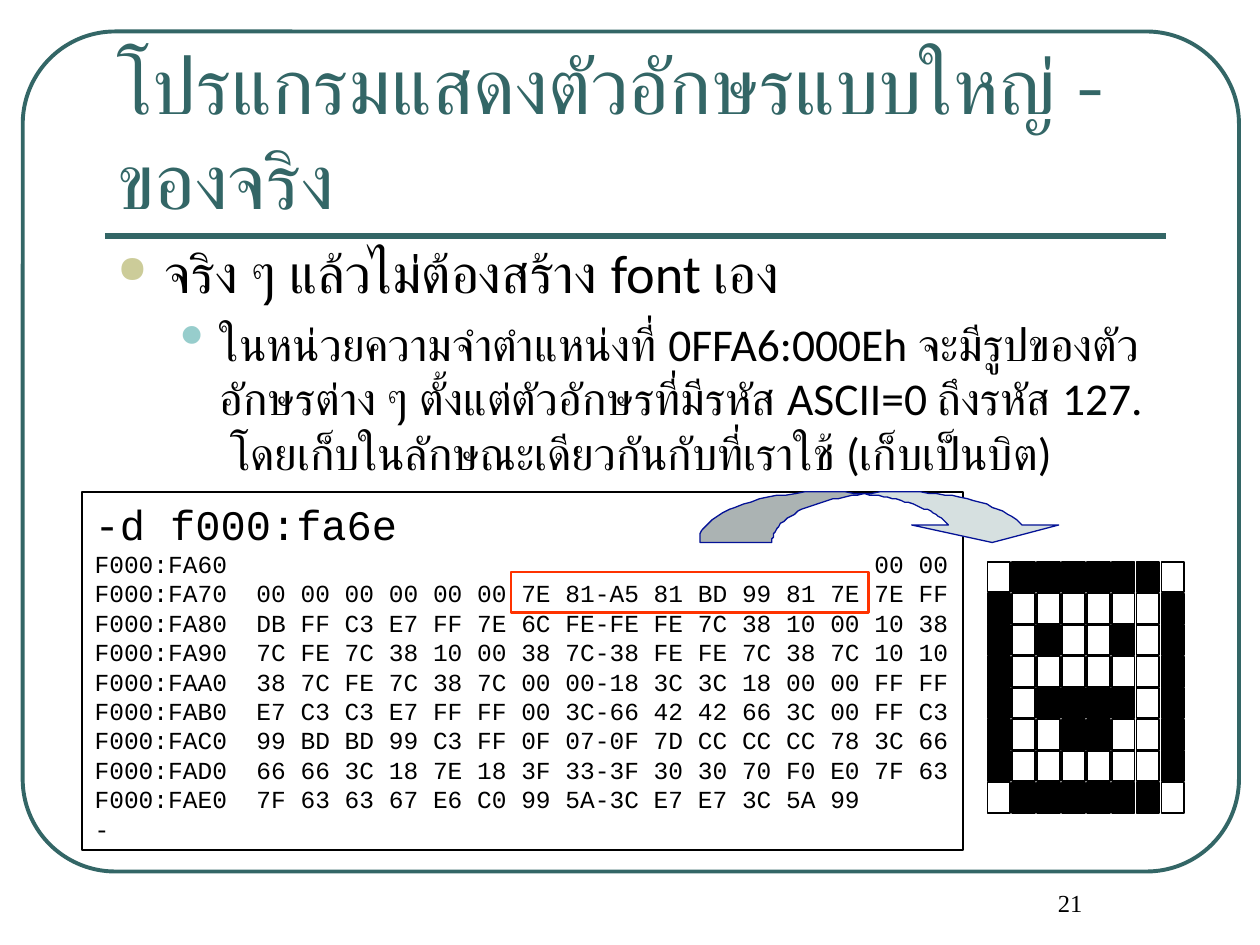
from math import cos, radians, sin

from lxml import etree
from pptx import Presentation
from pptx.dml.color import RGBColor
from pptx.enum.shapes import MSO_CONNECTOR, MSO_SHAPE
from pptx.enum.text import MSO_ANCHOR, MSO_AUTO_SIZE, PP_ALIGN
from pptx.oxml.ns import qn
from pptx.util import Pt

BLACK = RGBColor(0x00, 0x00, 0x00)
WHITE = RGBColor(0xFF, 0xFF, 0xFF)
TEAL = RGBColor(0x33, 0x66, 0x66)
KHAKI = RGBColor(0xCC, 0xCC, 0x99)
AQUA = RGBColor(0x97, 0xCD, 0xCC)
RED = RGBColor(0xFF, 0x33, 0x00)
NAVY = RGBColor(0x04, 0x12, 0x96)
ARROW_LIGHT = RGBColor(0xD6, 0xE0, 0xE0)
ARROW_DARK = RGBColor(0xAB, 0xB3, 0xB3)

RECTANGLE = MSO_SHAPE.RECTANGLE
ROUNDED = MSO_SHAPE.ROUNDED_RECTANGLE
STRAIGHT = MSO_CONNECTOR.STRAIGHT
TOP = MSO_ANCHOR.TOP
BOTTOM = MSO_ANCHOR.BOTTOM
LEFT = PP_ALIGN.LEFT
CENTER = PP_ALIGN.CENTER
GROW = MSO_AUTO_SIZE.SHAPE_TO_FIT_TEXT

TITLE = {"name": "Montserrat", "size": Pt(45), "color": TEAL}
POINT = {"name": "Calibri", "size": Pt(31), "color": BLACK}
DETAIL = {**POINT, "size": Pt(26)}
COMMAND = {"name": "Courier New", "size": Pt(24), "color": BLACK}
DUMP = {**COMMAND, "size": Pt(14)}
NUMBER = {"name": "Times New Roman", "size": Pt(14), "color": BLACK}

DUMP_LINES = """\
F000:FA60                                            00 00
F000:FA70  00 00 00 00 00 00 7E 81-A5 81 BD 99 81 7E 7E FF
F000:FA80  DB FF C3 E7 FF 7E 6C FE-FE FE 7C 38 10 00 10 38
F000:FA90  7C FE 7C 38 10 00 38 7C-38 FE FE 7C 38 7C 10 10
F000:FAA0  38 7C FE 7C 38 7C 00 00-18 3C 3C 18 00 00 FF FF
F000:FAB0  E7 C3 C3 E7 FF FF 00 3C-66 42 42 66 3C 00 FF C3
F000:FAC0  99 BD BD 99 C3 FF 0F 07-0F 7D CC CC CC 78 3C 66
F000:FAD0  66 66 3C 18 7E 18 3F 33-3F 30 30 70 F0 E0 7F 63
F000:FAE0  7F 63 63 67 E6 C0 99 5A-3C E7 E7 3C 5A 99
-""".splitlines()
FACE_ROWS = (0x7E, 0x81, 0xA5, 0x81, 0xBD, 0x99, 0x81, 0x7E)


def arc(center, start, end, steps=24):
    x, y = center
    angles = [radians(start + (end - start) * i / steps) for i in range(steps + 1)]
    return [(x + 73.5 * cos(angle), y - 28.6 * sin(angle)) for angle in angles]


class SlideBuilder:
    def __init__(self, slide):
        self.slide = slide

    def style(self, shape, fill, line, width):
        shape.shadow.inherit = False
        if fill is None:
            shape.fill.background()
        else:
            shape.fill.solid()
            shape.fill.fore_color.rgb = fill
        shape.line.color.rgb = line
        shape.line.width = Pt(width)
        return shape

    def box(self, kind, bounds, fill=None, line=BLACK, width=1):
        shape = self.slide.shapes.add_shape(kind, *map(Pt, bounds))
        return self.style(shape, fill, line, width)

    def outline(self, points, fill, line, width):
        builder = self.slide.shapes.build_freeform(*points[0], scale=Pt(1))
        builder.add_line_segments(points[1:], close=True)
        return self.style(builder.convert_to_shape(), fill, line, width)

    def rule(self, start, end, color, width):
        connector = self.slide.shapes.add_connector(STRAIGHT, *map(Pt, start + end))
        connector.line.color.rgb = color
        connector.line.width = Pt(width)
        etree.SubElement(connector._element.spPr, qn("a:effectLst"))

    def text_box(self, bounds, anchor=TOP):
        frame = self.slide.shapes.add_textbox(*map(Pt, bounds)).text_frame
        frame.word_wrap = True
        frame.vertical_anchor = anchor
        return frame

    def paragraph(self, frame, text, font, first=False, **layout):
        paragraph = frame.paragraphs[0] if first else frame.add_paragraph()
        run = paragraph.add_run()
        run.text = text
        for name, value in font.items():
            if name == "color":
                run.font.color.rgb = value
            else:
                setattr(run.font, name, value)
        for name, value in layout.items():
            setattr(paragraph, name, value)
        return paragraph

    def bullet(self, paragraph, character, color, percent, margin, hanging):
        properties = paragraph._p.get_or_add_pPr()
        properties.set("marL", str(Pt(margin)))
        properties.set("indent", str(-Pt(hanging)))
        bullet_color = etree.SubElement(properties, qn("a:buClr"))
        etree.SubElement(bullet_color, qn("a:srgbClr"), val=str(color))
        etree.SubElement(properties, qn("a:buSzPct"), val=str(percent * 1000))
        etree.SubElement(properties, qn("a:buChar"), char=character)

    def bitmap(self, rows, left, top, pitch_x, pitch_y, size):
        for row, bits in enumerate(rows):
            for column, bit in enumerate(f"{bits:08b}"):
                origin = (left + column * pitch_x, top + row * pitch_y)
                self.box(RECTANGLE, origin + size, BLACK if bit == "1" else WHITE)


def main():
    presentation = Presentation()
    presentation.slide_width = Pt(720)
    presentation.slide_height = Pt(540)
    builder = SlideBuilder(presentation.slides.add_slide(presentation.slide_layouts[6]))

    frame_shape = builder.box(ROUNDED, (13, 18, 695, 480), line=TEAL, width=2.25)
    frame_shape.adjustments[0] = 0.11
    builder.rule((60, 134.8), (666, 134.8), TEAL, 3)

    title = builder.text_box((60, 42, 606, 90), BOTTOM)
    builder.paragraph(title, "โปรแกรมแสดงตัวอักษรแบบใหญ่ - ของจริง", TITLE, first=True)

    body = builder.text_box((60, 133.2, 606, 318))
    point = builder.paragraph(body, "จริง ๆ แล้วไม่ต้องสร้าง font เอง", POINT, first=True)
    builder.bullet(point, "●", KHAKI, 70, 27, 27)
    detail = builder.paragraph(
        body,
        "ในหน่วยความจำตำแหน่งที่ 0FFA6:000Eh จะมีรูปของตัวอักษรต่าง ๆ "
        "ตั้งแต่ตัวอักษรที่มีรหัส ASCII=0 ถึงรหัส 127.  "
        "โดยเก็บในลักษณะเดียวกันกับที่เราใช้ (เก็บเป็นบิต)",
        DETAIL, level=1, space_before=Pt(6.5))
    builder.bullet(detail, "•", AQUA, 150, 58.5, 22.5)

    dump = builder.box(RECTANGLE, (47, 281.3, 503.5, 204.5)).text_frame
    dump.word_wrap = False
    dump.auto_size = GROW
    dump.vertical_anchor = TOP
    builder.paragraph(dump, "-d f000:fa6e", COMMAND, first=True, alignment=LEFT)
    for line in DUMP_LINES:
        builder.paragraph(dump, line, DUMP, alignment=LEFT)

    builder.bitmap(FACE_ROWS, 564.3, 321.2, 14.2, 18, (13, 17.2))

    left_center, right_center = (473, 309.6), (514.8, 309.6)
    tail = arc(left_center, 180, 73.5) + arc(right_center, 106.5, 180)
    head = arc(right_center, 106.5, 19) + [(605.2, 300.3), (567.4, 309.6), (521.3, 300.3)]
    head += arc(left_center, 19, 73.5)
    builder.outline(tail, ARROW_DARK, NAVY, 0.75)
    builder.outline(head, ARROW_LIGHT, NAVY, 0.75)
    builder.box(RECTANGLE, (292, 327, 204.3, 23), line=RED, width=1.25)

    number = builder.text_box((540, 504, 126, 36))
    page = builder.paragraph(number, "21", NUMBER, first=True, alignment=CENTER)
    page._p.get_or_add_pPr().set("marL", str(Pt(17)))

    presentation.save("out.pptx")


if __name__ == "__main__":
    main()
